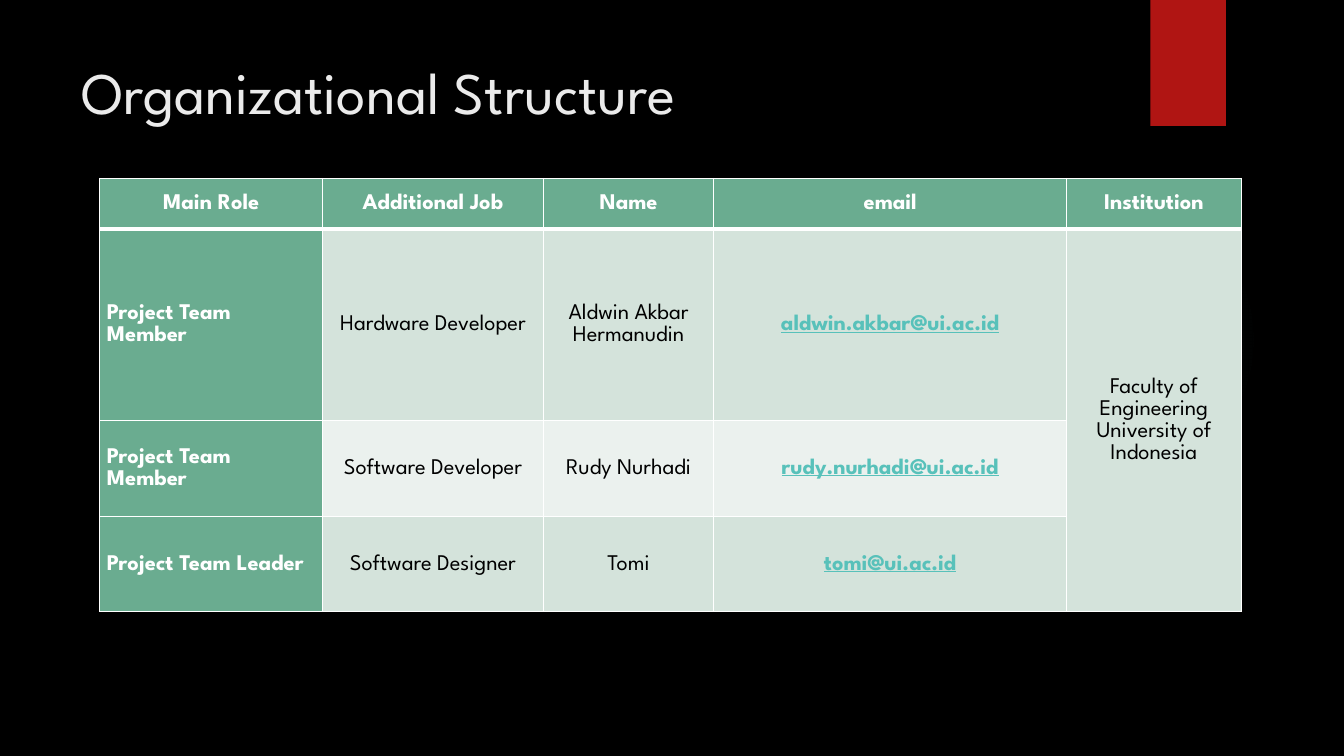
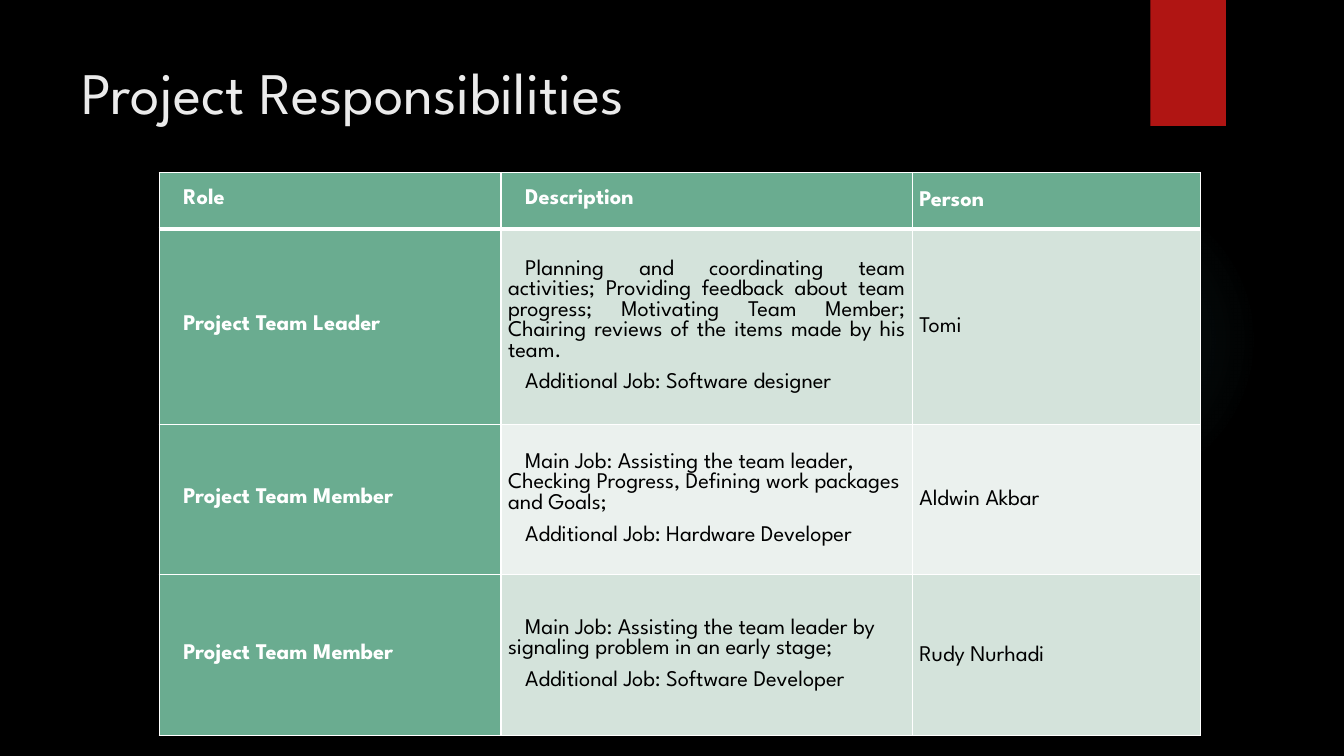
from dataclasses import dataclass, replace
from typing import Optional

from lxml.etree import SubElement
from pptx import Presentation
from pptx.dml.color import RGBColor
from pptx.enum.shapes import MSO_SHAPE
from pptx.enum.text import MSO_ANCHOR, PP_ALIGN
from pptx.oxml import parse_xml
from pptx.oxml.ns import nsdecls, qn
from pptx.util import Inches, Pt


@dataclass(frozen=True)
class Theme:
    font: str = "League Spartan"
    title_size: int = 42
    body_size: int = 16
    background: str = "000000"
    title: str = "EBEBEB"
    ribbon: str = "B01513"
    glow: str = "50B9C1"
    header: str = "6AAC90"
    bands: tuple[str, str] = ("EBF1EE", "D4E3DB")
    light: str = "FFFFFF"
    dark: str = "000000"
    link: str = "58C1BA"
    thin: float = 1
    thick: float = 3


THEME = Theme()


@dataclass(frozen=True)
class TextStyle:
    color: str = THEME.dark
    bold: bool = False
    underline: bool = False
    align: PP_ALIGN = PP_ALIGN.LEFT
    spacing: Optional[float | Pt] = 1.07
    after: float = 0
    indent: float = 0


@dataclass(frozen=True)
class TableSpec:
    title: str
    left: float
    top: float
    widths: tuple[float, ...]
    heights: tuple[float, ...]
    header_styles: tuple[TextStyle, ...]
    body_styles: tuple[TextStyle, ...]
    rows: tuple[tuple[str, ...], ...]  # a line break starts a new paragraph
    merge_last_column: bool = False


# Text styles
CENTERED = TextStyle(align=PP_ALIGN.CENTER)
HEADING = replace(CENTERED, color=THEME.light, bold=True)
ROLE = replace(HEADING, align=PP_ALIGN.LEFT)
EMAIL = replace(CENTERED, color=THEME.link, bold=True, underline=True)
INDENTED_ROLE = replace(ROLE, spacing=Pt(13), after=8, indent=0.17)
DUTY = TextStyle(spacing=None, after=8, indent=0.17)
PERSON = TextStyle(after=8)

JUSTIFIED_START = "Planning"

TABLES = (
    TableSpec(
        "Organizational Structure", 0.99, 1.77,
        (2.21, 2.19, 1.69, 3.5, 1.73), (0.5, 1.9, 0.95, 0.95),
        (HEADING,) * 5, (ROLE, CENTERED, CENTERED, EMAIL, CENTERED),
        (
            ("Main Role", "Additional Job", "Name", "email", "Institution"),
            ("Project Team Member", "Hardware Developer", "Aldwin Akbar Hermanudin",
             "aldwin.akbar@ui.ac.id", "Faculty of Engineering University of Indonesia"),
            ("Project Team Member", "Software Developer", "Rudy Nurhadi",
             "rudy.nurhadi@ui.ac.id", ""),
            ("Project Team Leader", "Software Designer", "Tomi", "tomi@ui.ac.id", ""),
        ),
        merge_last_column=True,
    ),
    TableSpec(
        "Project Responsibilities", 1.58, 1.71,
        (3.39, 4.08, 2.86), (0.56, 1.94, 1.49, 1.6),
        (INDENTED_ROLE, INDENTED_ROLE, replace(ROLE, after=8)),
        (INDENTED_ROLE, DUTY, PERSON),
        (
            ("Role", "Description", "Person"),
            ("Project Team Leader",
             "Planning and coordinating team activities; Providing feedback about team "
             "progress; Motivating Team Member; Chairing reviews of the items made by "
             "his team.\nAdditional Job: Software designer", "Tomi"),
            ("Project Team Member",
             "Main Job: Assisting the team leader, Checking Progress, Defining work "
             "packages and Goals;\nAdditional Job: Hardware Developer", "Aldwin Akbar"),
            ("Project Team Member",
             "Main Job: Assisting the team leader by signaling problem in an early "
             "stage;\nAdditional Job: Software Developer", "Rudy Nurhadi"),
        ),
    ),
)


def rgb(color: str) -> RGBColor:
    return RGBColor.from_string(color)


def add_span(para, text: str, size: float, style: TextStyle) -> None:
    span = para.add_run()
    span.text = text
    font = span.font
    font.name, font.size = THEME.font, Pt(size)
    font.bold, font.underline = style.bold, style.underline
    font.color.rgb = rgb(style.color)


def add_plain_shape(page, kind: MSO_SHAPE, left: float, top: float,
                    width: float, height: float, color: str):
    shape = page.shapes.add_shape(
        kind, Inches(left), Inches(top), Inches(width), Inches(height))
    shape.shadow.inherit = False
    shape.fill.solid()
    shape.fill.fore_color.rgb = rgb(color)
    shape.line.fill.background()
    return shape


def add_glow(page) -> None:
    """Draw a faint round light that fades towards its edge."""
    glow = add_plain_shape(page, MSO_SHAPE.OVAL, 9.41, 1.83, 3.08, 3.08, THEME.glow)
    stops = "".join(
        f'<a:gs pos="{position * 1000}"><a:srgbClr val="{THEME.glow}">'
        f'<a:alpha val="{alpha * 1000}"/></a:srgbClr></a:gs>'
        for position, alpha in ((0, 7), (36, 6), (69, 0), (100, 0)))
    gradient = parse_xml(
        f'<a:gradFill {nsdecls("a")}><a:gsLst>{stops}</a:gsLst><a:path path="circle">'
        '<a:fillToRect l="50000" t="50000" r="50000" b="50000"/></a:path></a:gradFill>')
    properties = glow._element.spPr
    properties.replace(properties.find(qn("a:solidFill")), gradient)


def add_page(deck, title: str):
    """Add a page with the shared background, ribbon and title."""
    page = deck.slides.add_slide(deck.slide_layouts[6])
    page.background.fill.solid()
    page.background.fill.fore_color.rgb = rgb(THEME.background)
    add_glow(page)
    add_plain_shape(page, MSO_SHAPE.RECTANGLE, 11.41, 0, 0.75, 1.25, THEME.ribbon)
    box = page.shapes.add_textbox(Inches(0.71), Inches(0.5), Inches(10.29), Inches(1.53))
    box.text_frame.word_wrap = True
    add_span(box.text_frame.paragraphs[0], title, THEME.title_size,
             TextStyle(color=THEME.title))
    return page


def set_borders(cell, row: int) -> None:
    """Draw white borders, with a thick rule under the header row."""
    top = THEME.thick if row == 1 else THEME.thin
    bottom = THEME.thick if row == 0 else THEME.thin
    widths = {"lnL": THEME.thin, "lnR": THEME.thin, "lnT": top, "lnB": bottom}
    properties = cell._tc.get_or_add_tcPr()
    for index, (tag, width) in enumerate(widths.items()):
        line = parse_xml(f'<a:{tag} {nsdecls("a")} w="{Pt(width)}"/>')
        fill = SubElement(line, qn("a:solidFill"))
        SubElement(fill, qn("a:srgbClr")).set("val", THEME.light)
        properties.insert(index, line)


def fill_cell(cell, text: str, style: TextStyle, fill: str) -> None:
    cell.fill.solid()
    cell.fill.fore_color.rgb = rgb(fill)
    cell.vertical_anchor = MSO_ANCHOR.MIDDLE
    cell.margin_left = cell.margin_right = Inches(0.07)
    cell.margin_top = cell.margin_bottom = 0
    if not text:
        return
    frame = cell.text_frame
    for index, line in enumerate(text.split("\n")):
        para = frame.add_paragraph() if index else frame.paragraphs[0]
        justified = line.startswith(JUSTIFIED_START)
        para.alignment = PP_ALIGN.JUSTIFY if justified else style.align
        para.line_spacing = style.spacing
        para.space_after = Pt(style.after)
        if style.indent:
            para._p.get_or_add_pPr().set("indent", str(Inches(style.indent)))
        add_span(para, line, THEME.body_size, style)


def add_data_table(page, spec: TableSpec) -> None:
    table = page.shapes.add_table(
        len(spec.rows), len(spec.widths), Inches(spec.left), Inches(spec.top),
        Inches(sum(spec.widths)), Inches(sum(spec.heights))).table
    table.first_row = table.horz_banding = False
    for column, width in zip(table.columns, spec.widths):
        column.width = Inches(width)
    for table_row, height in zip(table.rows, spec.heights):
        table_row.height = Inches(height)
    last = len(spec.widths) - 1
    for row, texts in enumerate(spec.rows):
        styles = spec.body_styles if row else spec.header_styles
        for column, (text, style) in enumerate(zip(texts, styles)):
            cell = table.cell(row, column)
            is_header = row == 0 or column == 0
            band = 1 if spec.merge_last_column and column == last else row % 2
            fill_cell(cell, text, style, THEME.header if is_header else THEME.bands[band])
            set_borders(cell, row)
    if spec.merge_last_column:
        table.cell(1, last).merge(table.cell(len(spec.rows) - 1, last))


def main() -> None:
    deck = Presentation()
    deck.slide_width, deck.slide_height = Inches(13.33), Inches(7.5)
    for spec in TABLES:
        add_data_table(add_page(deck, spec.title), spec)
    deck.save("out.pptx")


if __name__ == "__main__":
    main()
